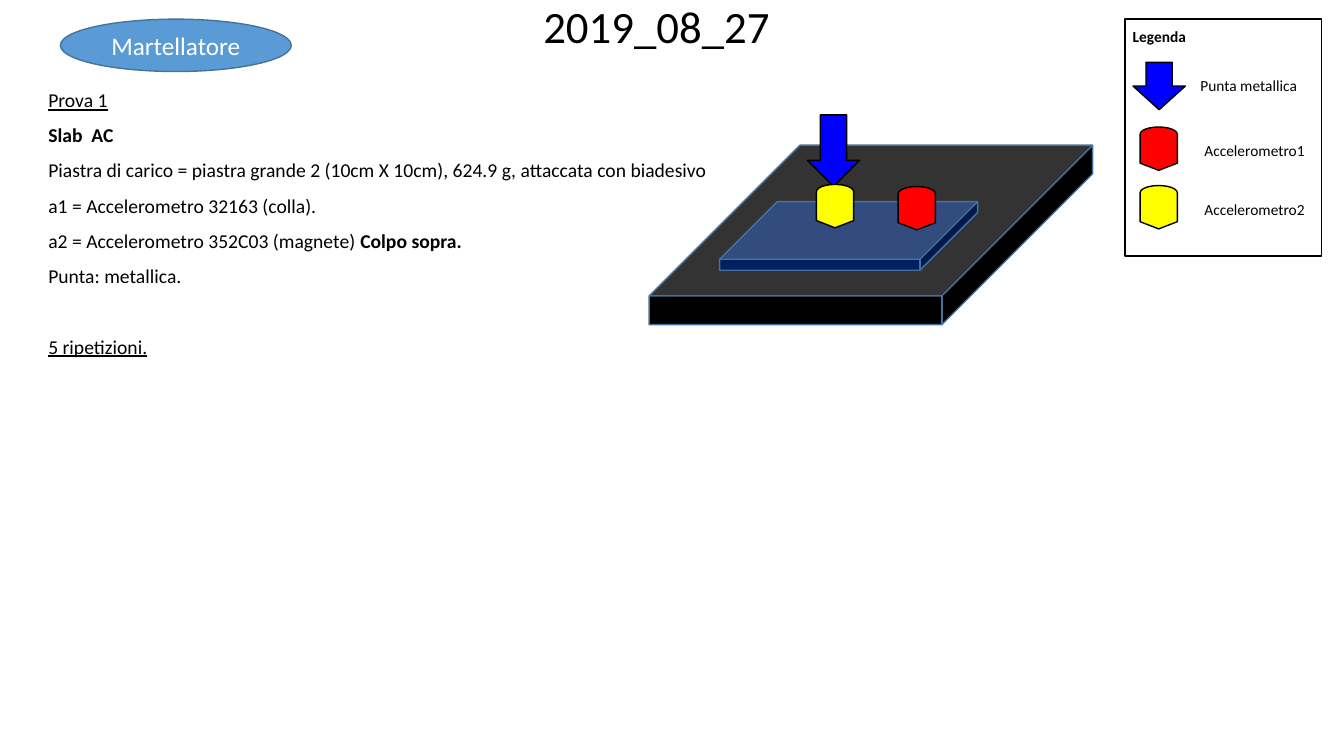
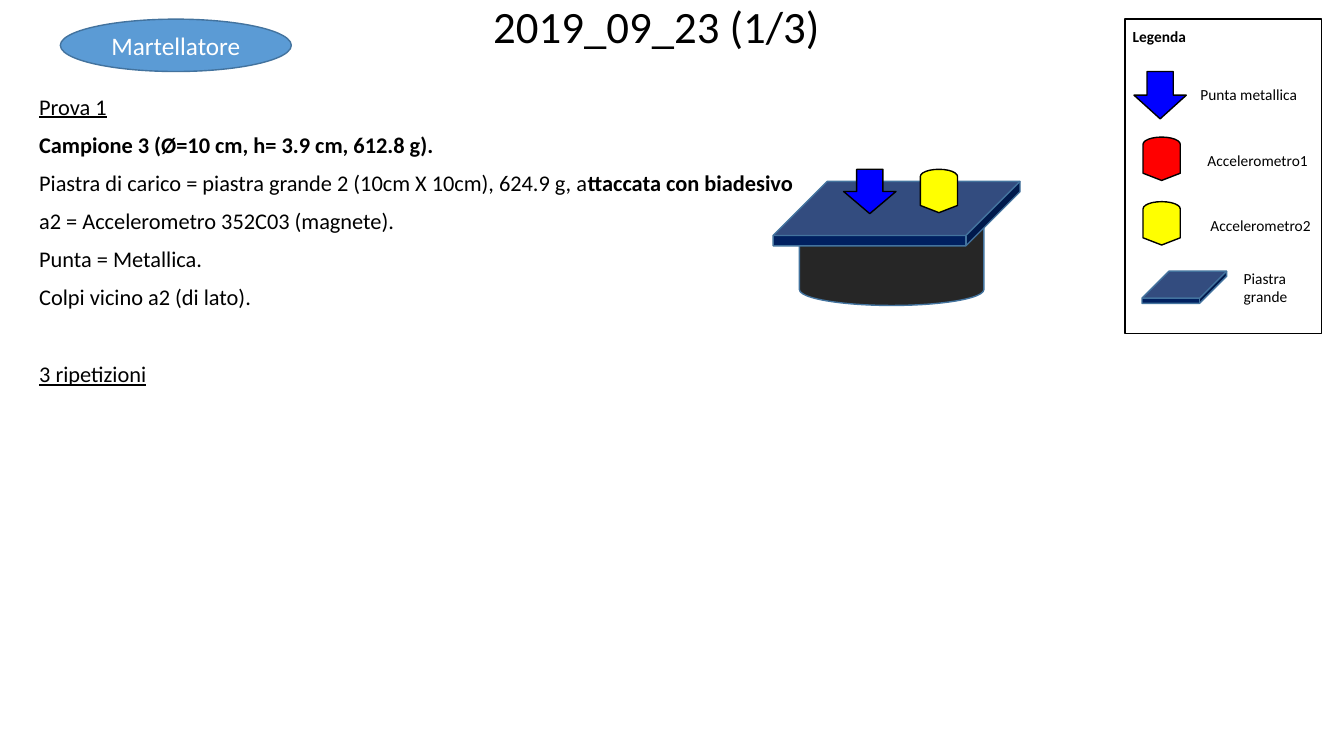
"""Builds two slides that describe hammer tests on a loading plate."""
from pptx import Presentation
from pptx.dml.color import RGBColor
from pptx.enum.shapes import MSO_SHAPE as Shape
from pptx.enum.text import MSO_ANCHOR as Anchor, MSO_AUTO_SIZE as AutoSize, PP_ALIGN as Align
from pptx.util import Pt

BLACK, WHITE, EDGE = "000000", "FFFFFF", "43739E"
BLUE, RED, YELLOW = "0000FF", "FF0000", "FFFF00"
NAVY, GRAPHITE, SKY = "002060", "262626", "5B9BD5"


def colour(value):
    """Turn a hex string into a colour."""
    return RGBColor.from_string(value)


class Sheet:
    """Holds the shared style and the current slide."""

    font = "Calibri"
    width, height = 960, 540
    legend_left, legend_top = 803.5, 13.7

    def __init__(self):
        """Start an empty widescreen deck."""
        self.deck = Presentation()
        self.deck.slide_width, self.deck.slide_height = Pt(self.width), Pt(self.height)
        self.page = None

    def style(self, para, size, ink=BLACK, mark=""):
        """Format a paragraph; mark is "b" for bold or "u" for underlined."""
        para.font.name, para.font.size = self.font, Pt(size)
        para.font.color.rgb = colour(ink)
        if mark == "b":
            para.font.bold = True
        elif mark == "u":
            para.font.underline = True

    def start(self, title):
        """Add a slide with its title and badge."""
        self.page = self.deck.slides.add_slide(self.deck.slide_layouts[5])
        box = self.page.shapes.title
        box.left, box.top, box.width, box.height = Pt(0), Pt(0), Pt(938), Pt(61.2)
        frame = box.text_frame
        frame.text = title
        frame.auto_size, frame.vertical_anchor = AutoSize.NONE, Anchor.TOP
        para = frame.paragraphs[0]
        para.alignment, para.line_spacing = Align.CENTER, 0.9
        self.style(para, 32)
        badge = self.shape(Shape.OVAL, 125.6, 32.4, 165, 37.4, SKY, EDGE)
        badge.text_frame.text = "Martellatore"
        badge.text_frame.vertical_anchor = Anchor.MIDDLE
        para = badge.text_frame.paragraphs[0]
        para.alignment = Align.CENTER
        self.style(para, 18, WHITE)

    def shape(self, kind, x, y, width, height, fill=None, line=BLACK):
        """Add a preset shape centred on x, y."""
        item = self.page.shapes.add_shape(
            kind, Pt(x - width / 2), Pt(y - height / 2), Pt(width), Pt(height))
        item.shadow.inherit = False
        if fill:
            item.fill.solid()
            item.fill.fore_color.rgb = colour(fill)
        else:
            item.fill.background()
        item.line.color.rgb, item.line.width = colour(line), Pt(1)
        return item

    def arrow(self, x, y, height=33.8):
        """Add the hammer tip."""
        self.shape(Shape.DOWN_ARROW, x, y, 37.4, height, BLUE)

    def sensor(self, x, y, fill):
        """Add an accelerometer, pointing down."""
        self.shape(Shape.FLOWCHART_DISPLAY, x, y, 31, 26.6, fill).rotation = 270

    def plate(self, x, y, width, height, fill=NAVY):
        """Add a flat slab."""
        self.shape(Shape.CUBE, x, y, width, height, fill, EDGE).adjustments[0] = 0.84

    def disk(self, x, y, width, height):
        """Add a cylindrical sample."""
        self.shape(Shape.FLOWCHART_MAGNETIC_DISK, x, y, width, height, GRAPHITE, EDGE)

    def text(self, left, top, width, height):
        """Add a wrapping text box and return its frame."""
        box = self.page.shapes.add_textbox(Pt(left), Pt(top), Pt(width), Pt(height))
        box.text_frame.word_wrap = True
        return box.text_frame

    def label(self, words, left, middle, mark="", width=93.6, height=20.8):
        """Add a legend text around a middle height."""
        frame = self.text(left, middle - height / 2, width, height)
        frame.text = words
        self.style(frame.paragraphs[0], 11, mark=mark)

    def legend(self, height, tip, sensors):
        """Add the legend frame, heading, tip row and sensor rows."""
        self.shape(Shape.RECTANGLE, self.legend_left + 70.2,
                   self.legend_top + height / 2, 140.4, height)
        self.label("Legenda", 802, 26.3, "b")
        self.arrow(*tip)
        self.label("Punta metallica", 850.3, tip[1])
        for number, (x, y, fill, left) in enumerate(sensors, 1):
            self.sensor(x, y, fill)
            self.label(f"Accelerometro{number}", left, y + 1.6)

    def body(self, left, top, size, lines):
        """Write the test description, with the last line set apart."""
        frame = self.text(left, top, 906.5, 469.4)
        for index, spans in enumerate(lines):
            para = frame.paragraphs[0] if index == 0 else frame.add_paragraph()
            para.line_spacing = 0.9
            if index:
                gap = 20 + 1.1 * size if index == len(lines) - 1 else 10
                para.space_before = Pt(gap)
            self.style(para, size, mark=spans[0][1] if len(spans) == 1 else "")
            for words, mark in spans:
                span = para.add_run()
                span.text = words
                if len(spans) > 1 and mark == "b":
                    span.font.bold = True


def slab_test(sheet):
    """Build the slide of the test on the slab."""
    sheet.start("2019_08_27")
    sheet.body(27.4, 61.2, 14, [
        [("Prova 1", "u")],
        [("Slab  AC", "b")],
        [("Piastra di carico = piastra grande 2 (10cm X 10cm), 624.9 g, "
          "attaccata con biadesivo", "")],
        [("a1 = Accelerometro 32163 (colla).", "")],
        [("a2 = Accelerometro 352C03 (magnete) ", ""), ("Colpo sopra.", "b")],
        [("Punta: metallica.", "")],
        [("5 ripetizioni.", "u")],
    ])
    sheet.legend(169.2, (828, 61.5),
                 [(827.7, 106.2, RED, 853.2), (827.7, 148, YELLOW, 853.2)])
    sheet.plate(622.1, 167.8, 316.8, 128.2, BLACK)
    sheet.plate(606.2, 168.5, 184.3, 49)
    sheet.arrow(595.4, 107.6, 51.1)
    sheet.sensor(596.5, 147.2, YELLOW)
    sheet.sensor(654.9, 148.7, RED)


def sample_test(sheet):
    """Build the slide of the test on the cylindrical sample."""
    sheet.start("2019_09_23 (1/3)")
    sheet.disk(636.9, 184, 131.8, 68.4)
    sheet.legend(224.6, (828.7, 68),
                 [(829.8, 113.4, RED, 855.4), (829.8, 159.5, YELLOW, 857.5)])
    sheet.plate(846, 205.2, 60.5, 23)
    sheet.label("Piastra grande", 881.3, 205.6, width=51.8, height=34)
    sheet.plate(640.4, 152.6, 176.4, 46)
    sheet.sensor(670.7, 136.4, YELLOW)
    sheet.arrow(621.3, 136.8, 31.7)
    sheet.body(20.9, 64.8, 16, [
        [("Prova 1", "u")],
        [("Campione 3 (Ø=10 cm, h= 3.9 cm, 612.8 g).", "b")],
        [("Piastra di carico = piastra grande 2 (10cm X 10cm), 624.9 g, a", ""),
         ("ttaccata con biadesivo", "b")],
        [("a2 = Accelerometro 352C03 (magnete).", "")],
        [("Punta = Metallica.", "")],
        [("Colpi vicino a2 (di lato).", "")],
        [("3 ripetizioni", "u")],
    ])


def main():
    """Build and save the deck."""
    sheet = Sheet()
    slab_test(sheet)
    sample_test(sheet)
    sheet.deck.save("out.pptx")


if __name__ == "__main__":
    main()
